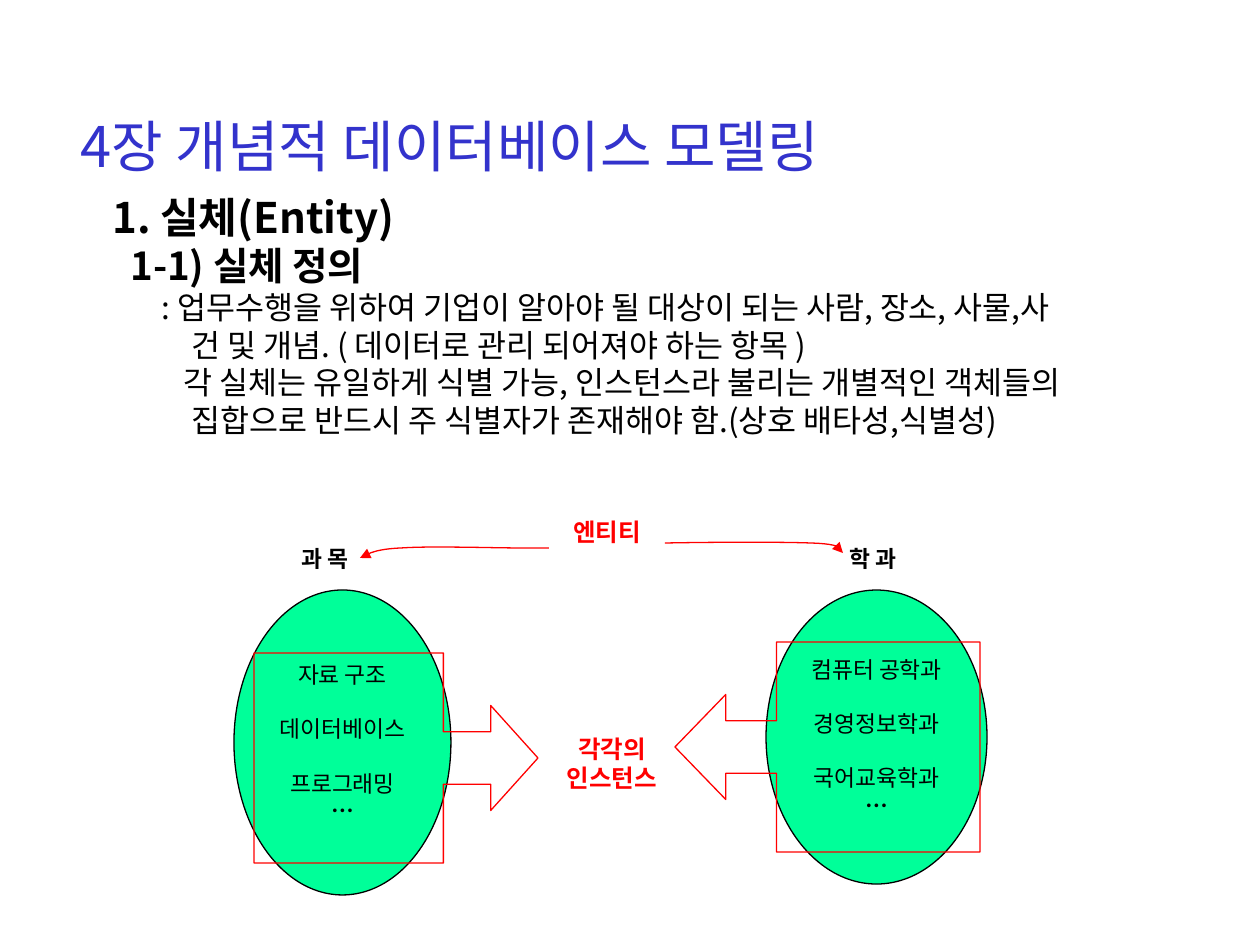
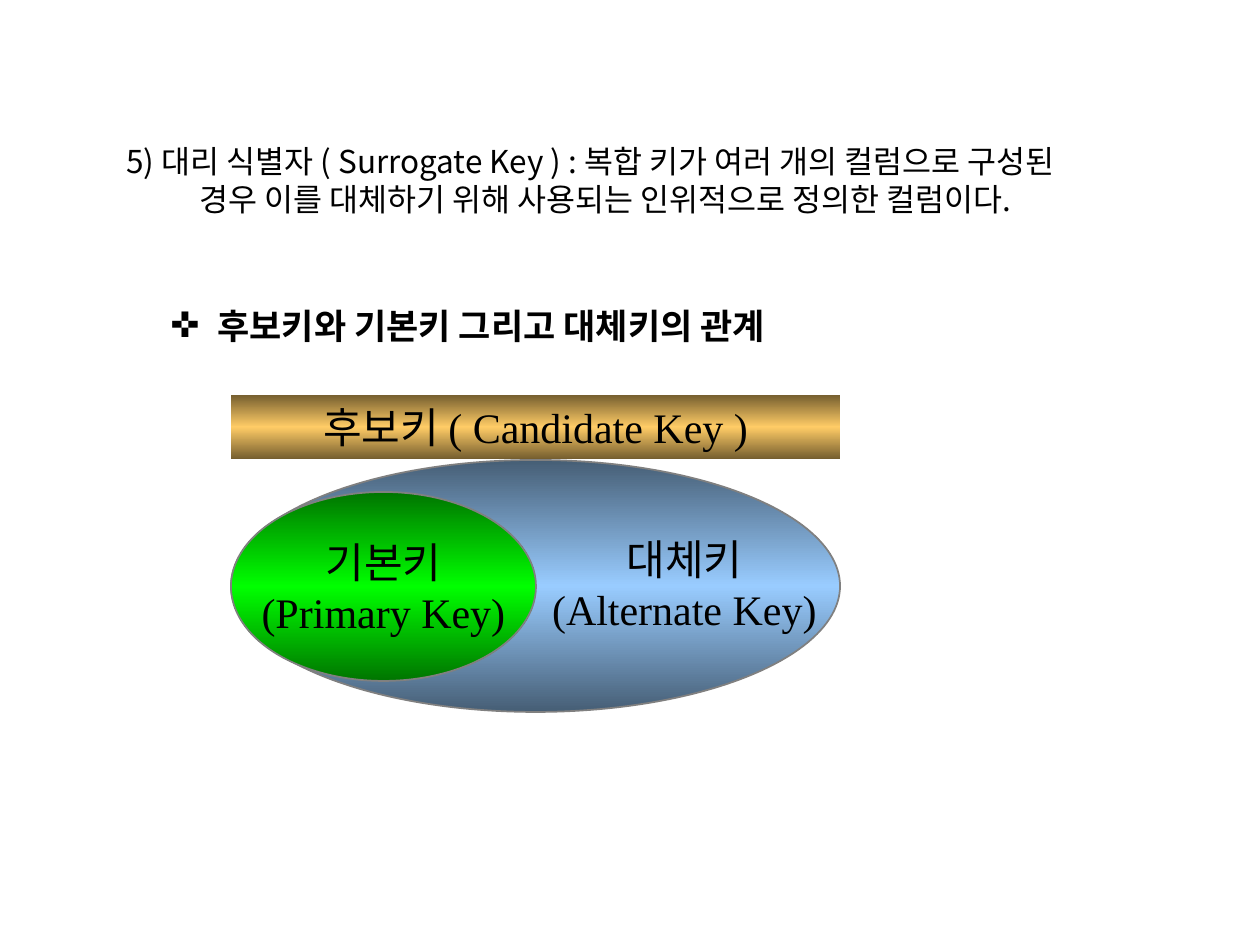
from copy import deepcopy

from lxml.etree import SubElement
from pptx import Presentation
from pptx.dml.color import RGBColor
from pptx.enum.shapes import MSO_SHAPE
from pptx.enum.text import MSO_ANCHOR, PP_ALIGN
from pptx.oxml.ns import qn
from pptx.util import Emu, Pt

EMU_PER_PIXEL = 914400 / 126
KOREAN_FONT = "Noto Sans CJK KR"
COLORS = {
    "title": "3333CC",
    "text": "000000",
    "accent": "FF0000",
    "entity": "00FF99",
    "label": "FFFFFF",
    "outline": "808080",
    "gold": "FFCC66",
    "gold_edge": "755E2F",
    "blue": "99CCFF",
    "blue_edge": "465E75",
    "green": "00FF00",
    "green_edge": "007500",
}
TITLE = {"size": Pt(32), "color": "title"}
HEADING = {"size": Pt(24), "bold": True}
SUBHEADING = {"size": Pt(22), "bold": True}
BODY = {"size": Pt(18)}
BULLET_HEADING = {"size": Pt(20), "bold": True}
MEMBER = {"size": Pt(13)}
MEMBER_BOLD = {"size": Pt(13), "bold": True}
CALLOUT = {"size": Pt(14), "bold": True, "color": "accent"}
KEY = {"size": Pt(24), "name": "Times New Roman"}


def px(length):
    return Emu(round(length * EMU_PER_PIXEL))


def rgb(color):
    return RGBColor.from_string(COLORS[color])


def format_run(run, style):
    values = {"name": KOREAN_FONT, "color": "text", **style}
    run.font.color.rgb = rgb(values.pop("color"))
    for attribute, value in values.items():
        setattr(run.font, attribute, value)
    SubElement(run._r.get_or_add_rPr(), qn("a:ea"), typeface=KOREAN_FONT)


def write_text(shape, lines, align=PP_ALIGN.LEFT, anchor=MSO_ANCHOR.TOP, wrap=True):
    """Fill a shape with (text, style, layout) lines; layout holds px lengths."""
    frame = shape.text_frame
    frame.word_wrap = wrap
    frame.vertical_anchor = anchor
    for number, (text, style, layout) in enumerate(lines):
        paragraph = frame.paragraphs[0] if number == 0 else frame.add_paragraph()
        paragraph.alignment = align
        paragraph.space_before = px(layout.get("before", 0))
        properties = paragraph._p.get_or_add_pPr()
        left = layout.get("left", 0)
        properties.set("marL", str(px(left)))
        properties.set("indent", str(px(layout.get("first", left) - left)))
        if "bullet" in layout:
            SubElement(properties, qn("a:buFont"), typeface="Arial")
            SubElement(properties, qn("a:buChar"), char=layout["bullet"])
        paragraph.text = text
        for run in paragraph.runs:
            format_run(run, style)


def add_text(slide, box, lines, **options):
    shape = slide.shapes.add_textbox(*map(px, box))
    write_text(shape, lines, **options)


def set_line(shape, color, points=0.75):
    shape.line.color.rgb = rgb(color)
    shape.line.width = Pt(points)


def add_shape(slide, kind, box, fill=None, line=None, points=0.75):
    shape = slide.shapes.add_shape(kind, *map(px, box))
    shape.shadow.inherit = False
    if fill:
        shape.fill.solid()
        shape.fill.fore_color.rgb = rgb(fill)
    else:
        shape.fill.background()
    if line:
        set_line(shape, line, points)
    else:
        shape.line.fill.background()
    return shape


def add_gradient_shape(slide, kind, box, color, line=None):
    """Add a shape shaded vertically from a dark edge to the colour and back."""
    shape = add_shape(slide, kind, box, line=line, points=1)
    shape.fill.gradient()
    shape.fill.gradient_angle = 90
    stop_list = shape._element.spPr.find(".//" + qn("a:gsLst"))
    stop_list.append(deepcopy(stop_list[0]))
    edge = color + "_edge"
    for number, (stop, name) in enumerate(zip(shape.fill.gradient_stops, (edge, color, edge))):
        stop.position = number / 2
        stop.color.rgb = rgb(name)
    return shape


def add_entity(slide, box, label_left, label, members):
    ellipse = add_shape(slide, MSO_SHAPE.OVAL, box, "entity", "text")
    lines = [(member, MEMBER, {"before": 27 if number else 0})
             for number, member in enumerate(members)]
    lines.append(("…", MEMBER_BOLD, {}))
    centred = {"align": PP_ALIGN.CENTER, "anchor": MSO_ANCHOR.MIDDLE, "wrap": False}
    write_text(ellipse, lines, **centred)
    name_box = add_shape(slide, MSO_SHAPE.RECTANGLE, (label_left, 537, 95, 42), "label", "label")
    write_text(name_box, [(label, MEMBER_BOLD, {})], **centred)


def add_arrow_callout(slide, kind, box, head_length):
    shape = add_shape(slide, kind, box, line="accent")
    for number, value in enumerate((0.25, 0.25, head_length, 0.667)):
        shape.adjustments[number] = value


def curve_points(points, steps=12):
    """Return points along joined cubic curves: start, then three points per curve."""
    result = [points[0]]
    for index in range(0, len(points) - 1, 3):
        for step in range(1, steps + 1):
            t = step / steps
            weights = ((1 - t) ** 3, 3 * t * (1 - t) ** 2, 3 * t * t * (1 - t), t ** 3)
            result.append(tuple(
                sum(weight * point[axis] for weight, point in zip(weights, points[index:index + 4]))
                for axis in (0, 1)))
    return result


def add_curved_arrow(slide, points):
    start, *rest = [(px(x), px(y)) for x, y in curve_points(points)]
    builder = slide.shapes.build_freeform(*start)
    builder.add_line_segments(rest, close=False)
    shape = builder.convert_to_shape()
    shape.shadow.inherit = False
    shape.fill.background()
    set_line(shape, "accent")
    SubElement(shape.line._get_or_add_ln(), qn("a:tailEnd"), type="triangle")


def build_entity_slide(slide):
    add_text(slide, (68, 105, 1119, 81), [("4장 개념적 데이터베이스 모델링", TITLE, {})])
    add_text(slide, (100, 185, 1118, 374), [
        ("1. 실체(Entity)", HEADING, {}),
        ("1-1) 실체 정의", SUBHEADING, {"left": 18}),
        (": 업무수행을 위하여 기업이 알아야 될 대상이 되는 사람, 장소, 사물,사\n"
         "건 및 개념. ( 데이터로 관리 되어져야 하는 항목 )", BODY, {"left": 79, "first": 49}),
        ("각 실체는 유일하게 식별 가능, 인스턴스라 불리는 개별적인 객체들의\n"
         "집합으로 반드시 주 식별자가 존재해야 함.(상호 배타성,식별성)",
         BODY, {"left": 79, "first": 71}),
    ])
    add_entity(slide, (234, 590, 217, 305), 277, "과 목",
               ("자료 구조", "데이터베이스", "프로그래밍"))
    add_entity(slide, (766, 590, 221, 294), 825, "학 과",
               ("컴퓨터 공학과", "경영정보학과", "국어교육학과"))
    centred = {"align": PP_ALIGN.CENTER, "anchor": MSO_ANCHOR.MIDDLE, "wrap": False}
    add_text(slide, (544, 505, 126, 53), [("엔티티", CALLOUT, {})], **centred)
    add_text(slide, (549, 737, 126, 53),
             [("각각의", CALLOUT, {}), ("인스턴스", CALLOUT, {})], **centred)
    add_arrow_callout(slide, MSO_SHAPE.RIGHT_ARROW_CALLOUT, (254, 653, 284, 210), 0.225)
    add_arrow_callout(slide, MSO_SHAPE.LEFT_ARROW_CALLOUT, (675, 642, 305, 210), 0.242)
    add_curved_arrow(slide, [
        (549, 548), (546, 548), (542, 548), (518, 548), (494, 548),
        (428, 546), (402, 548), (375, 549), (368, 554), (360, 558)])
    add_curved_arrow(slide, [
        (665, 543), (723, 542), (782, 542), (811, 543), (842, 544), (843, 549), (843, 553)])


def build_key_slide(slide):
    add_text(slide, (108, 136, 1079, 284), [
        ("5) 대리 식별자 ( Surrogate Key ) : 복합 키가 여러 개의 컬럼으로 구성된\n"
         "경우 이를 대체하기 위해 사용되는 인위적으로 정의한 컬럼이다.",
         BODY, {"left": 79, "first": 6}),
        ("후보키와 기본키 그리고 대체키의 관계", BULLET_HEADING,
         {"left": 97, "first": 50, "before": 87, "bullet": "✜"}),
    ])
    candidate = add_gradient_shape(slide, MSO_SHAPE.RECTANGLE, (231, 395, 609, 64), "gold")
    write_text(candidate, [("후보키 ( Candidate Key )", KEY, {})], align=PP_ALIGN.CENTER)
    add_gradient_shape(slide, MSO_SHAPE.OVAL, (231, 460, 609, 252), "blue", "outline")
    primary = add_gradient_shape(slide, MSO_SHAPE.OVAL, (231, 492, 305, 189), "green", "outline")
    write_text(primary, [("기본키\n(Primary Key)", KEY, {})],
               align=PP_ALIGN.CENTER, anchor=MSO_ANCHOR.MIDDLE, wrap=False)
    add_text(slide, (532, 527, 305, 113), [("대체키\n(Alternate Key)", KEY, {})],
             align=PP_ALIGN.CENTER)


def main():
    presentation = Presentation()
    presentation.slide_width = px(1260)
    presentation.slide_height = px(945)
    blank_layout = presentation.slide_layouts[6]
    for build in (build_entity_slide, build_key_slide):
        build(presentation.slides.add_slide(blank_layout))
    presentation.save("out.pptx")


if __name__ == "__main__":
    main()
